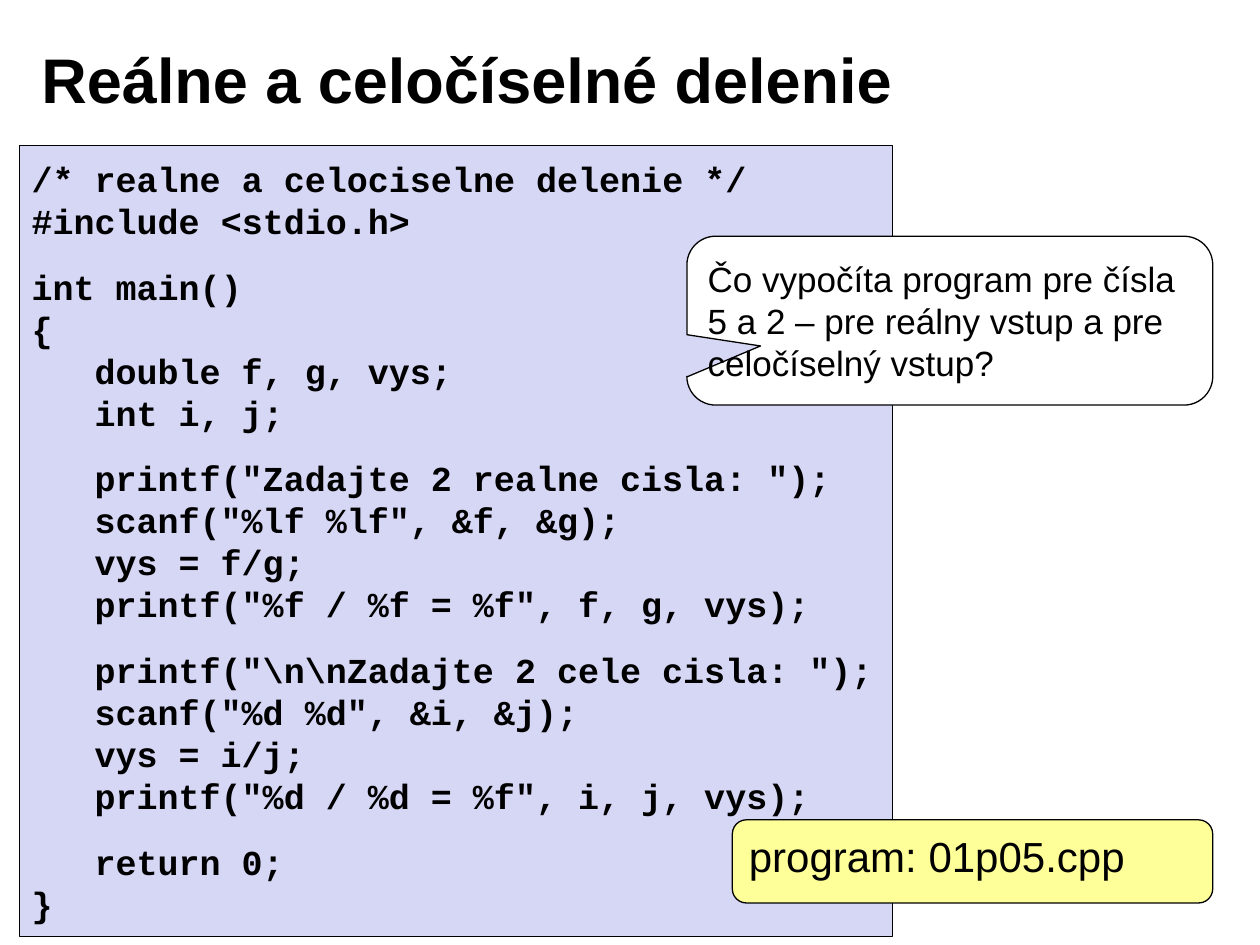
from dataclasses import dataclass

from pptx import Presentation
from pptx import util as u
from pptx.dml.color import RGBColor
from pptx.enum import shapes, text


@dataclass(frozen=True)
class Theme:
    black: RGBColor = RGBColor(0x00, 0x00, 0x00)
    white: RGBColor = RGBColor(0xFF, 0xFF, 0xFF)
    lavender: RGBColor = RGBColor(0xD6, 0xD6, 0xF5)
    yellow: RGBColor = RGBColor(0xFF, 0xFF, 0x99)
    sans: str = "Arial"
    mono: str = "Courier New"
    title_size: float = 36
    label_size: float = 24
    body_size: float = 20
    leading: float = 1.2
    block_gap: float = 13.5
    code_indent: int = 36
    line_width: float = 0.75


CODE_BLOCKS = [
    [(0, "/* realne a celociselne delenie */"), (0, "#include <stdio.h>")],
    [(0, "int main()"), (0, "{"), (1, "double f, g, vys;"), (1, "int i, j;")],
    [
        (1, 'printf("Zadajte 2 realne cisla: ");'),
        (1, 'scanf("%lf %lf", &f, &g);'),
        (1, "vys = f/g;"),
        (1, 'printf("%f / %f = %f", f, g, vys);'),
    ],
    [
        (1, r'printf("\n\nZadajte 2 cele cisla: ");'),
        (1, 'scanf("%d %d", &i, &j);'),
        (1, "vys = i/j;"),
        (1, 'printf("%d / %d = %f", i, j, vys);'),
    ],
    [(1, "return 0;"), (0, "}")],
]


class SlideBuilder:
    def __init__(self, slide, theme):
        self.slide = slide
        self.theme = theme

    def format_paragraph(self, paragraph, size, font, bold=False):
        paragraph.alignment = text.PP_ALIGN.LEFT
        for run in paragraph.runs:
            run.font.size = u.Pt(size)
            run.font.name = font
            run.font.bold = bold
            run.font.color.rgb = self.theme.black

    def title(self, wording, box):
        shape = self.slide.shapes.title
        shape.left, shape.top, shape.width, shape.height = map(u.Pt, box)
        frame = shape.text_frame
        frame.text = wording
        frame.vertical_anchor = text.MSO_ANCHOR.MIDDLE
        self.format_paragraph(
            frame.paragraphs[0], self.theme.title_size, self.theme.sans, True
        )

    def panel(self, kind, box, fill, anchor, adjustments=()):
        shape = self.slide.shapes.add_shape(kind, *map(u.Pt, box))
        shape.shadow.inherit = False
        shape.fill.solid()
        shape.fill.fore_color.rgb = fill
        shape.line.color.rgb = self.theme.black
        shape.line.width = u.Pt(self.theme.line_width)
        for index, value in enumerate(adjustments):
            shape.adjustments[index] = value
        shape.text_frame.word_wrap = True
        shape.text_frame.vertical_anchor = anchor
        return shape

    def code(self, blocks, box):
        theme = self.theme
        shape = self.panel(
            shapes.MSO_SHAPE.RECTANGLE, box, theme.lavender, text.MSO_ANCHOR.MIDDLE
        )
        frame = shape.text_frame
        frame.text = "\n".join(line for block in blocks for _, line in block)
        paragraphs = iter(frame.paragraphs)
        for block_index, block in enumerate(blocks):
            for line_index, (level, _) in enumerate(block):
                paragraph = next(paragraphs)
                self.format_paragraph(paragraph, theme.body_size, theme.mono, True)
                paragraph.line_spacing = u.Pt(theme.body_size * theme.leading)
                if block_index and not line_index:
                    paragraph.space_before = u.Pt(theme.block_gap)
                if level:
                    indent = u.Pt(level * theme.code_indent)
                    paragraph._p.get_or_add_pPr().set("marL", str(indent))

    def note(self, wording, kind, box, fill, size, anchor, adjustments):
        shape = self.panel(kind, box, fill, anchor, adjustments)
        shape.text_frame.text = wording
        paragraph = shape.text_frame.paragraphs[0]
        self.format_paragraph(paragraph, size, self.theme.sans)
        paragraph.line_spacing = u.Pt(size * self.theme.leading)


def main():
    theme = Theme()
    presentation = Presentation()
    presentation.slide_width = u.Pt(720)
    presentation.slide_height = u.Pt(540)
    slide = presentation.slides.add_slide(presentation.slide_layouts[5])
    builder = SlideBuilder(slide, theme)

    builder.title("Reálne a celočíselné delenie", (16.5, 11, 578, 67))
    builder.code(CODE_BLOCKS, (11, 83, 499, 452))
    builder.note(
        "program: 01p05.cpp",
        shapes.MSO_SHAPE.ROUNDED_RECTANGLE,
        (418.5, 468.5, 274.5, 47.5),
        theme.yellow,
        theme.label_size,
        text.MSO_ANCHOR.TOP,
        (0.17,),
    )
    builder.note(
        "Čo vypočíta program pre čísla 5 a 2 – pre reálny vstup a pre celočíselný vstup?",
        shapes.MSO_SHAPE.ROUNDED_RECTANGULAR_CALLOUT,
        (392.5, 135, 300.5, 96.5),
        theme.white,
        theme.body_size,
        text.MSO_ANCHOR.MIDDLE,
        (-0.36, 0.15, 0.17),
    )
    presentation.save("out.pptx")


if __name__ == "__main__":
    main()
